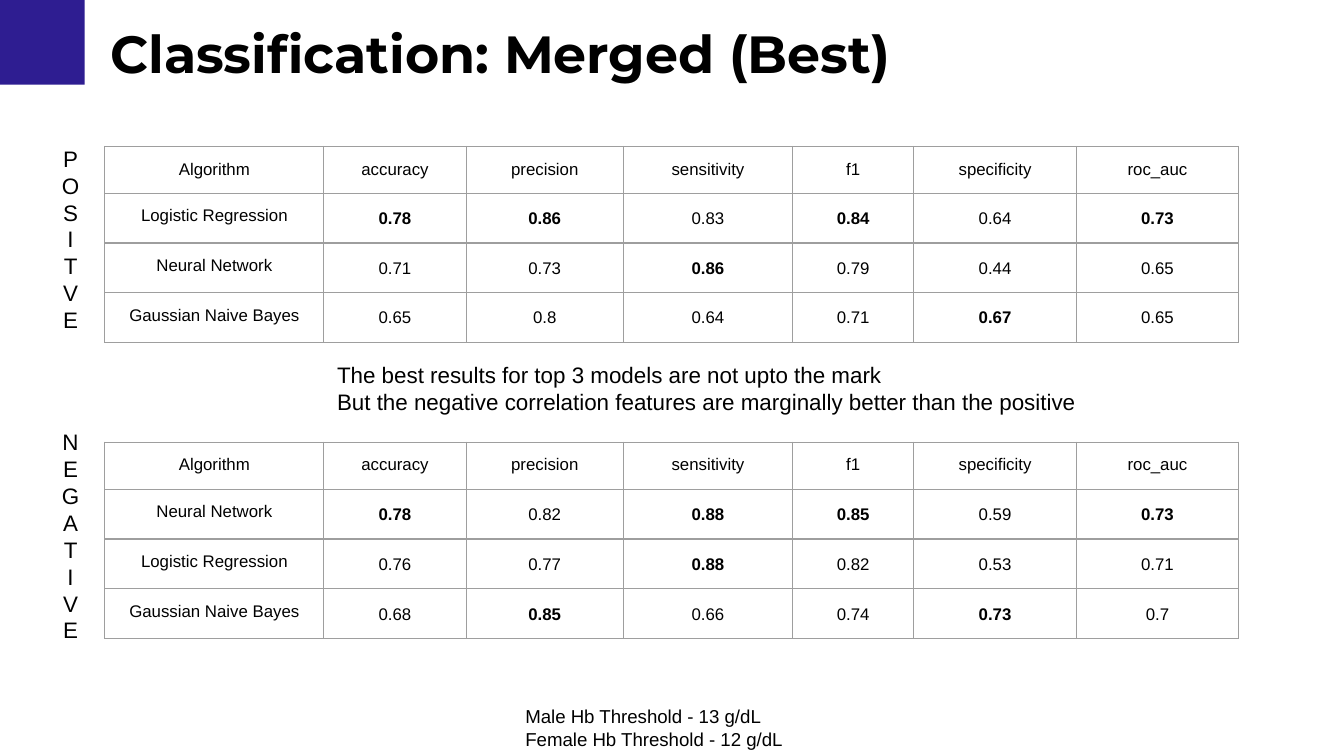
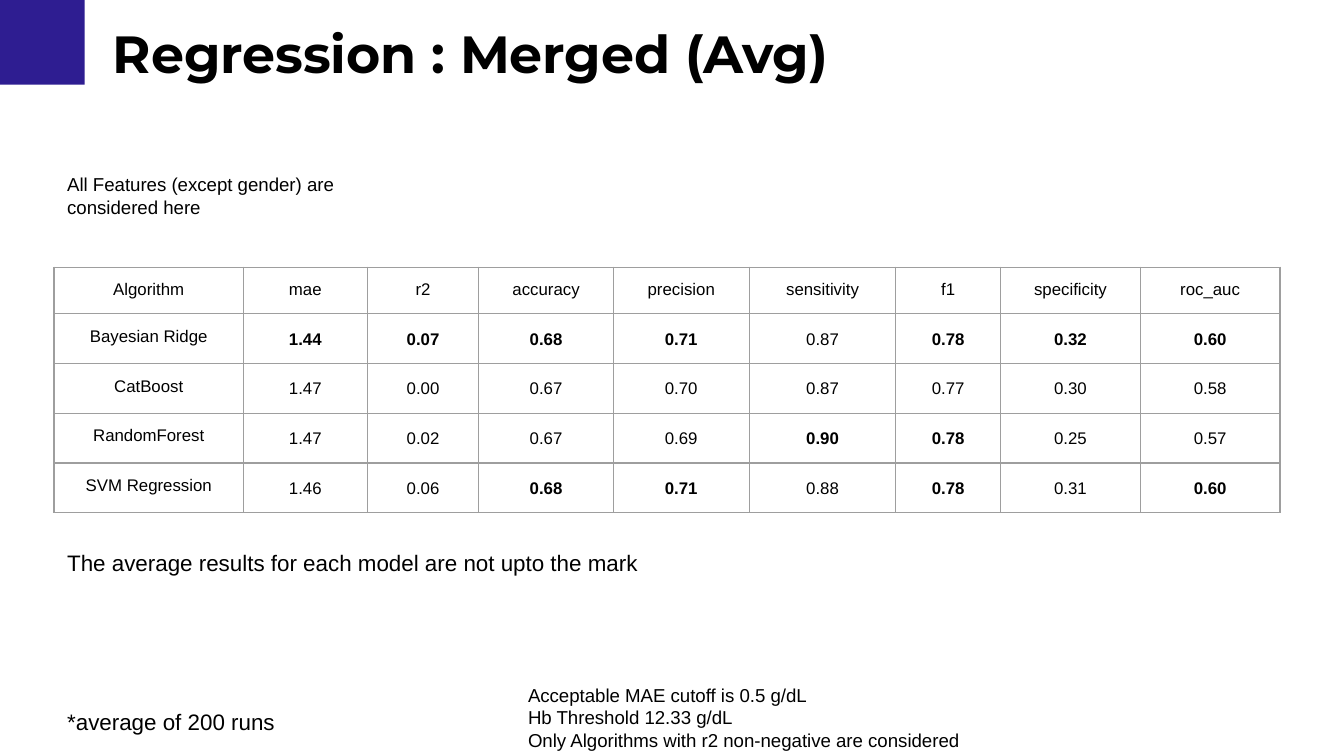
"""Build two slides of model results for classification and regression."""
from pptx import Presentation
from pptx import oxml
from pptx import util as u
from pptx.dml.color import RGBColor
from pptx.enum import shapes, text
from pptx.oxml import ns

BLACK = "000000"
PURPLE = "2E1D91"
GREY = "9E9E9E"
BODY_FONT = "Arial"
TITLE_FONT = "Montserrat"
INSET = u.Cm(0.25)
TITLE_ONLY = 5
LOWER_IS_BETTER = {"mae"}

SCORES = ["accuracy", "precision", "sensitivity", "f1", "specificity", "roc_auc"]
CLASSIFICATION_HEADER = ["Algorithm", *SCORES]
REGRESSION_HEADER = ["Algorithm", "mae", "r2", *SCORES]
CLASSIFICATION_WIDTHS = [4.14, 2.69, 2.97, 3.2, 2.29, 3.07, 3.07]
REGRESSION_WIDTHS = [3.58, 2.34, 2.11, 2.54, 2.57, 2.77, 1.98, 2.64, 2.64]

POSITIVE_RESULTS = [
    ["Logistic Regression", "0.78", "0.86", "0.83", "0.84", "0.64", "0.73"],
    ["Neural Network", "0.71", "0.73", "0.86", "0.79", "0.44", "0.65"],
    ["Gaussian Naive Bayes", "0.65", "0.8", "0.64", "0.71", "0.67", "0.65"],
]
NEGATIVE_RESULTS = [
    ["Neural Network", "0.78", "0.82", "0.88", "0.85", "0.59", "0.73"],
    ["Logistic Regression", "0.76", "0.77", "0.88", "0.82", "0.53", "0.71"],
    ["Gaussian Naive Bayes", "0.68", "0.85", "0.66", "0.74", "0.73", "0.7"],
]
REGRESSION_RESULTS = [
    ["Bayesian Ridge", "1.44", "0.07", "0.68", "0.71", "0.87", "0.78", "0.32", "0.60"],
    ["CatBoost", "1.47", "0.00", "0.67", "0.70", "0.87", "0.77", "0.30", "0.58"],
    ["RandomForest", "1.47", "0.02", "0.67", "0.69", "0.90", "0.78", "0.25", "0.57"],
    ["SVM Regression", "1.46", "0.06", "0.68", "0.71", "0.88", "0.78", "0.31", "0.60"],
]


def colour(hex_string):
    return RGBColor.from_string(hex_string)


def best_scores(header, rows):
    best = [None]
    for column, name in enumerate(header[1:], start=1):
        choose = min if name in LOWER_IS_BETTER else max
        best.append(choose((row[column] for row in rows), key=float))
    return best


class Deck:
    def __init__(self):
        self.presentation = Presentation()
        self.presentation.slide_width = u.Cm(25.4)
        self.presentation.slide_height = u.Cm(14.29)
        self.slide = None

    def add_slide(self, title, left):
        layout = self.presentation.slide_layouts[TITLE_ONLY]
        self.slide = self.presentation.slides.add_slide(layout)
        self.add_corner_block()
        shape = self.slide.shapes.title
        shape.left, shape.top = u.Cm(left), u.Cm(0.15)
        shape.width, shape.height = u.Cm(21.44), u.Cm(1.7)
        self.fill_frame(shape.text_frame, title, 28, TITLE_FONT, bold=True)

    def add_corner_block(self):
        side = u.Cm(1.6)
        shape = self.slide.shapes.add_shape(
            shapes.MSO_SHAPE.RECTANGLE, 0, 0, side, side)
        shape.shadow.inherit = False
        shape.fill.solid()
        shape.fill.fore_color.rgb = colour(PURPLE)
        shape.line.fill.background()

    def style_paragraph(self, paragraph, size, font=BODY_FONT, bold=False,
                        align=text.PP_ALIGN.LEFT):
        paragraph.alignment = align
        for run in paragraph.runs:
            run.font.size = u.Pt(size)
            run.font.name = font
            run.font.bold = bold
            run.font.color.rgb = colour(BLACK)

    def fill_frame(self, frame, words, size, font=BODY_FONT, bold=False,
                   align=text.PP_ALIGN.LEFT):
        frame.text = words
        frame.word_wrap = True
        frame.auto_size = text.MSO_AUTO_SIZE.SHAPE_TO_FIT_TEXT
        frame.vertical_anchor = text.MSO_ANCHOR.TOP
        frame.margin_left = frame.margin_right = INSET
        frame.margin_top = frame.margin_bottom = INSET
        for paragraph in frame.paragraphs:
            self.style_paragraph(paragraph, size, font, bold, align)

    def add_text(self, words, left, top, width, height, size=12,
                 align=text.PP_ALIGN.LEFT):
        box = self.slide.shapes.add_textbox(
            u.Cm(left), u.Cm(top), u.Cm(width), u.Cm(height))
        self.fill_frame(box.text_frame, words, size, align=align)

    def add_vertical_label(self, word, top, height):
        self.add_text("\n".join(word), 0.84, top, 0.99, height,
                      align=text.PP_ALIGN.CENTER)

    def add_borders(self, cell):
        properties = cell._tc.get_or_add_tcPr()
        for index, side in enumerate(("lnL", "lnR", "lnT", "lnB")):
            properties.insert(index, oxml.parse_xml(
                f'<a:{side} {ns.nsdecls("a")} w="{u.Pt(0.75)}"><a:solidFill>'
                f'<a:srgbClr val="{GREY}"/></a:solidFill></a:{side}>'))

    def add_cell(self, cell, words, bold, spacing):
        cell.text = words
        cell.margin_left = cell.margin_right = INSET
        cell.margin_top = cell.margin_bottom = INSET
        cell.fill.background()
        self.add_borders(cell)
        paragraph = cell.text_frame.paragraphs[0]
        paragraph.line_spacing = spacing
        self.style_paragraph(paragraph, 9, bold=bold, align=text.PP_ALIGN.CENTER)

    def add_results(self, header, rows, widths, left, top, row_height):
        lines = [header, *rows]
        table = self.slide.shapes.add_table(
            len(lines), len(header), u.Cm(left), u.Cm(top),
            u.Cm(sum(widths)), u.Cm(row_height * len(lines))).table
        table.first_row = table.horz_banding = False
        for column, width in zip(table.columns, widths):
            column.width = u.Cm(width)
        best = best_scores(header, rows)
        for row, line in enumerate(lines):
            for column, words in enumerate(line):
                is_score = row > 0 and column > 0
                self.add_cell(table.cell(row, column), words,
                              bold=is_score and words == best[column],
                              spacing=1.15 if is_score else 1.0)


def build_classification(deck):
    deck.add_slide("Classification: Merged (Best)", 1.83)
    deck.add_results(CLASSIFICATION_HEADER, POSITIVE_RESULTS,
                     CLASSIFICATION_WIDTHS, 1.98, 2.77, 0.84)
    deck.add_results(CLASSIFICATION_HEADER, NEGATIVE_RESULTS,
                     CLASSIFICATION_WIDTHS, 1.98, 8.36, 0.89)
    deck.add_vertical_label("POSITVE", 2.49, 4.11)
    deck.add_vertical_label("NEGATIVE", 7.85, 4.62)
    deck.add_text("Male Hb Threshold - 13 g/dL\nFemale Hb Threshold - 12 g/dL",
                  9.68, 13.08, 5.59, 1.37, size=10)
    deck.add_text("The best results for top 3 models are not upto the mark\n"
                  "But the negative correlation features are marginally better "
                  "than the positive", 6.12, 6.58, 14.76, 1.55)


def build_regression(deck):
    left = 1.02
    deck.add_slide("Regression : Merged (Avg)", 1.88)
    deck.add_text("Acceptable MAE cutoff is 0.5 g/dL\nHb Threshold 12.33 g/dL\n"
                  "Only Algorithms with r2 non-negative are considered",
                  9.73, 12.67, 8.89, 2.24, size=10)
    deck.add_text("All Features (except gender) are considered here",
                  left, 3.02, 5.89, 1.37, size=10)
    deck.add_results(REGRESSION_HEADER, REGRESSION_RESULTS,
                     REGRESSION_WIDTHS, left, 5.05, 0.74)
    deck.add_text("*average of 200 runs", left, 13.13, 4.47, 1.14)
    deck.add_text("The average results for each model are not upto the mark",
                  left, 10.13, 13.36, 1.02)


def main():
    deck = Deck()
    build_classification(deck)
    build_regression(deck)
    deck.presentation.save("out.pptx")


if __name__ == "__main__":
    main()
